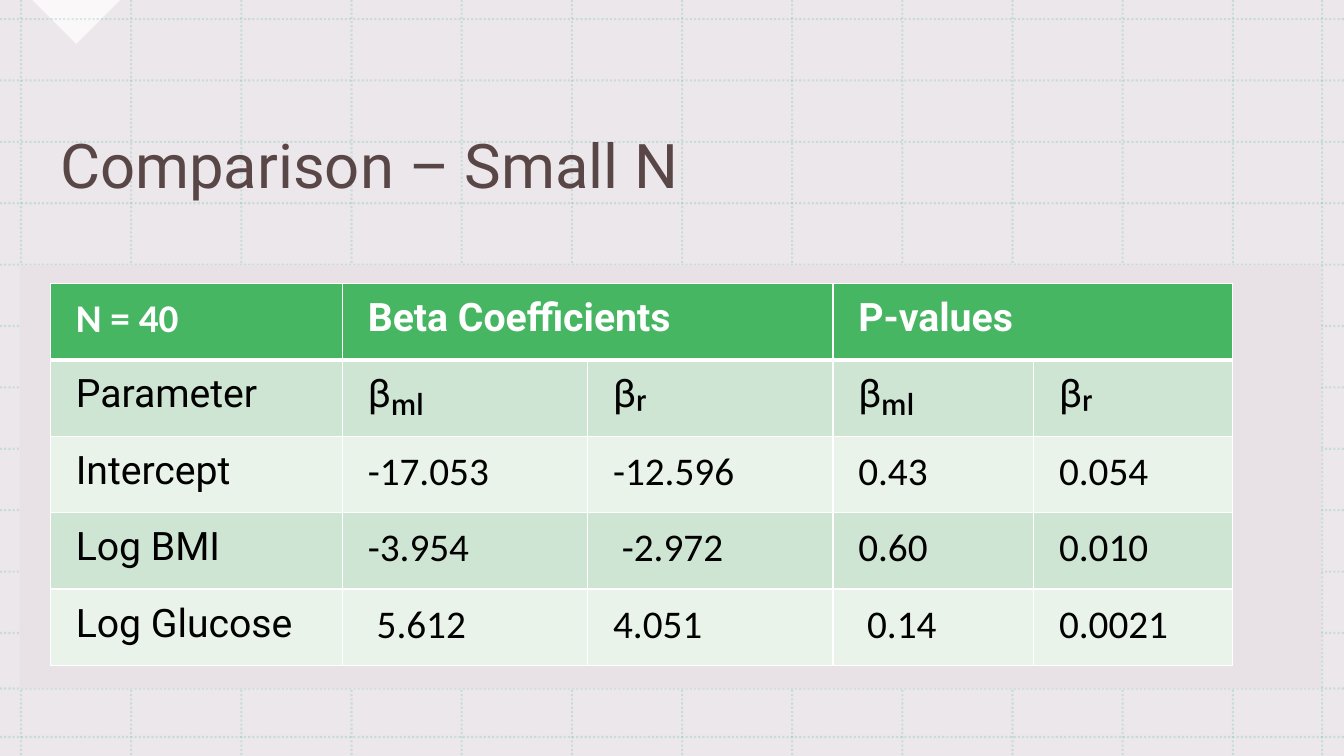
from dataclasses import dataclass

from lxml import etree
from pptx import Presentation
from pptx.dml.color import RGBColor
from pptx.enum.dml import MSO_LINE
from pptx.enum.shapes import MSO_CONNECTOR, MSO_SHAPE
from pptx.enum.text import MSO_ANCHOR
from pptx.oxml.ns import qn
from pptx.util import Cm, Pt

RECTANGLE = MSO_SHAPE.RECTANGLE
RIGHT_TRIANGLE = MSO_SHAPE.RIGHT_TRIANGLE
STRAIGHT = MSO_CONNECTOR.STRAIGHT
DOTTED = MSO_LINE.ROUND_DOT
MIDDLE = MSO_ANCHOR.MIDDLE
TOP = MSO_ANCHOR.TOP


@dataclass(frozen=True)
class Theme:
    white: str = "FFFFFF"
    black: str = "000000"
    mauve: str = "E8E2E7"
    grid: str = "3BB189"
    title: str = "351E1F"
    header: str = "47B662"
    odd_row: str = "CFE5D3"
    even_row: str = "E9F3EA"
    text_font: str = "Roboto"
    number_font: str = "Calibri"
    title_size: int = 44
    table_size: int = 28
    grid_width: float = 1.5
    border_width: int = 1
    header_border_width: int = 3


@dataclass(frozen=True)
class Box:
    """A region of the slide, in centimetres."""
    left: float
    top: float
    width: float
    height: float

    def lengths(self):
        return Cm(self.left), Cm(self.top), Cm(self.width), Cm(self.height)


THEME = Theme()
SLIDE = Box(0, 0, 33.87, 19.05)
CORNER = Box(1.14, -0.79, 1.57, 1.57)
TITLE = Box(1.27, 2.01, 29.85, 4.47)
PANEL = Box(0.51, 6.68, 32.79, 10.67)
TABLE = Box(1.27, 7.14, 29.79, 9.63)

COLUMN_WIDTHS = [7.36, 6.18, 6.18, 5.06, 5.01]
HEADER_SPANS = [(1, 2), (3, 4)]
ROWS = [
    ["N = 40", "Beta Coefficients", "", "P-values", ""],
    ["Parameter", "βₘₗ", "βᵣ", "βₘₗ", "βᵣ"],
    ["Intercept", "-17.053", "-12.596", "0.43", "0.054"],
    ["Log BMI", "-3.954", " -2.972", "0.60", "0.010"],
    ["Log Glucose", " 5.612", "4.051", " 0.14", "0.0021"],
]


def set_opacity(fill, percent):
    """Make every colour inside a fill or line element translucent."""
    for color in fill.iter(qn("a:srgbClr")):
        etree.SubElement(color, qn("a:alpha"), val=str(percent * 1000))


def evenly_spaced(first, last, count):
    return [first + (last - first) * i / (count - 1) for i in range(count)]


def format_run(run, font, size, color, bold=False):
    run.font.name = font
    run.font.size = Pt(size)
    run.font.bold = bold
    run.font.color.rgb = RGBColor.from_string(color)


def add_block(slide, box, color, opacity=100, kind=RECTANGLE):
    shape = slide.shapes.add_shape(kind, *box.lengths())
    shape.shadow.inherit = False
    shape.fill.solid()
    shape.fill.fore_color.rgb = RGBColor.from_string(color)
    shape.line.fill.background()
    if opacity < 100:
        set_opacity(shape._element.spPr, opacity)
    return shape


def add_grid_line(shapes, start, end):
    points = [Cm(value) for value in (*start, *end)]
    line = shapes.add_connector(STRAIGHT, *points)
    line.line.color.rgb = RGBColor.from_string(THEME.grid)
    line.line.width = Pt(THEME.grid_width)
    line.line.dash_style = DOTTED
    properties = line._element.spPr
    set_opacity(properties, 20)
    etree.SubElement(properties, qn("a:effectLst"))


def add_backdrop(slide, box):
    background = slide.background.fill
    background.solid()
    background.fore_color.rgb = RGBColor.from_string(THEME.white)
    add_block(slide, box, THEME.mauve, 80)
    corner = add_block(slide, CORNER, THEME.white, 75, RIGHT_TRIANGLE)
    corner.rotation = 315

    # Dotted grid: regular lines, then the closer ones at the far edges
    grid = slide.shapes.add_group_shape().shapes
    right, bottom = box.left + box.width, box.top + box.height
    for x in evenly_spaced(box.left + 0.53, right - 2.8, 12) + [right - 0.55]:
        add_grid_line(grid, (x, box.top), (x, bottom))
    rows = evenly_spaced(box.top + 0.48, bottom - 3.1, 11)
    for y in rows + [bottom - 1.7, bottom - 0.48]:
        add_grid_line(grid, (box.left, y), (right, y))


def add_title(slide, box, text):
    frame = slide.shapes.add_textbox(*box.lengths()).text_frame
    frame.word_wrap = True
    frame.vertical_anchor = MIDDLE
    frame.text = text
    paragraph = frame.paragraphs[0]
    paragraph.line_spacing = 0.9
    run = paragraph.runs[0]
    format_run(run, THEME.text_font, THEME.title_size, THEME.title)
    set_opacity(run._r, 80)


def set_borders(cell, top_width, bottom_width):
    side = THEME.border_width
    widths = {"L": side, "R": side, "T": top_width, "B": bottom_width}
    properties = cell._tc.get_or_add_tcPr()
    for index, (edge, width) in enumerate(widths.items()):
        border = etree.Element(qn(f"a:ln{edge}"), w=str(Pt(width)))
        fill = etree.SubElement(border, qn("a:solidFill"))
        etree.SubElement(fill, qn("a:srgbClr"), val=THEME.white)
        properties.insert(index, border)


def format_cell(cell, text, row, column):
    is_header = row == 0
    if is_header:
        fill = THEME.header
    else:
        fill = THEME.odd_row if row % 2 else THEME.even_row
    cell.fill.solid()
    cell.fill.fore_color.rgb = RGBColor.from_string(fill)
    cell.margin_left = cell.margin_right = Cm(0.64)
    cell.margin_top = cell.margin_bottom = Cm(0.3)
    cell.vertical_anchor = TOP
    thin, thick = THEME.border_width, THEME.header_border_width
    set_borders(cell, thick if row == 1 else thin, thick if is_header else thin)

    # Figures, and the sample size, use the number font
    is_number = (row > 1 and column > 0) or (row == 0 and column == 0)
    font = THEME.number_font if is_number else THEME.text_font
    color = THEME.white if is_header else THEME.black
    cell.text_frame.text = text
    for run in cell.text_frame.paragraphs[0].runs:
        format_run(run, font, THEME.table_size, color, is_header)


def add_comparison_table(slide, box):
    frame = slide.shapes.add_table(len(ROWS), len(COLUMN_WIDTHS), *box.lengths())
    table = frame.table
    for column, width in zip(table.columns, COLUMN_WIDTHS):
        column.width = Cm(width)
    for row in table.rows:
        row.height = Cm(box.height / len(ROWS))
    for first, last in HEADER_SPANS:
        table.cell(0, first).merge(table.cell(0, last))
    for i, texts in enumerate(ROWS):
        for j, text in enumerate(texts):
            format_cell(table.cell(i, j), text, i, j)


def main():
    presentation = Presentation()
    presentation.slide_width = Cm(SLIDE.width)
    presentation.slide_height = Cm(SLIDE.height)
    slide = presentation.slides.add_slide(presentation.slide_layouts[6])
    add_backdrop(slide, SLIDE)
    add_title(slide, TITLE, "Comparison – Small N")
    add_block(slide, PANEL, THEME.mauve)
    add_comparison_table(slide, TABLE)
    presentation.save("out.pptx")


if __name__ == "__main__":
    main()
